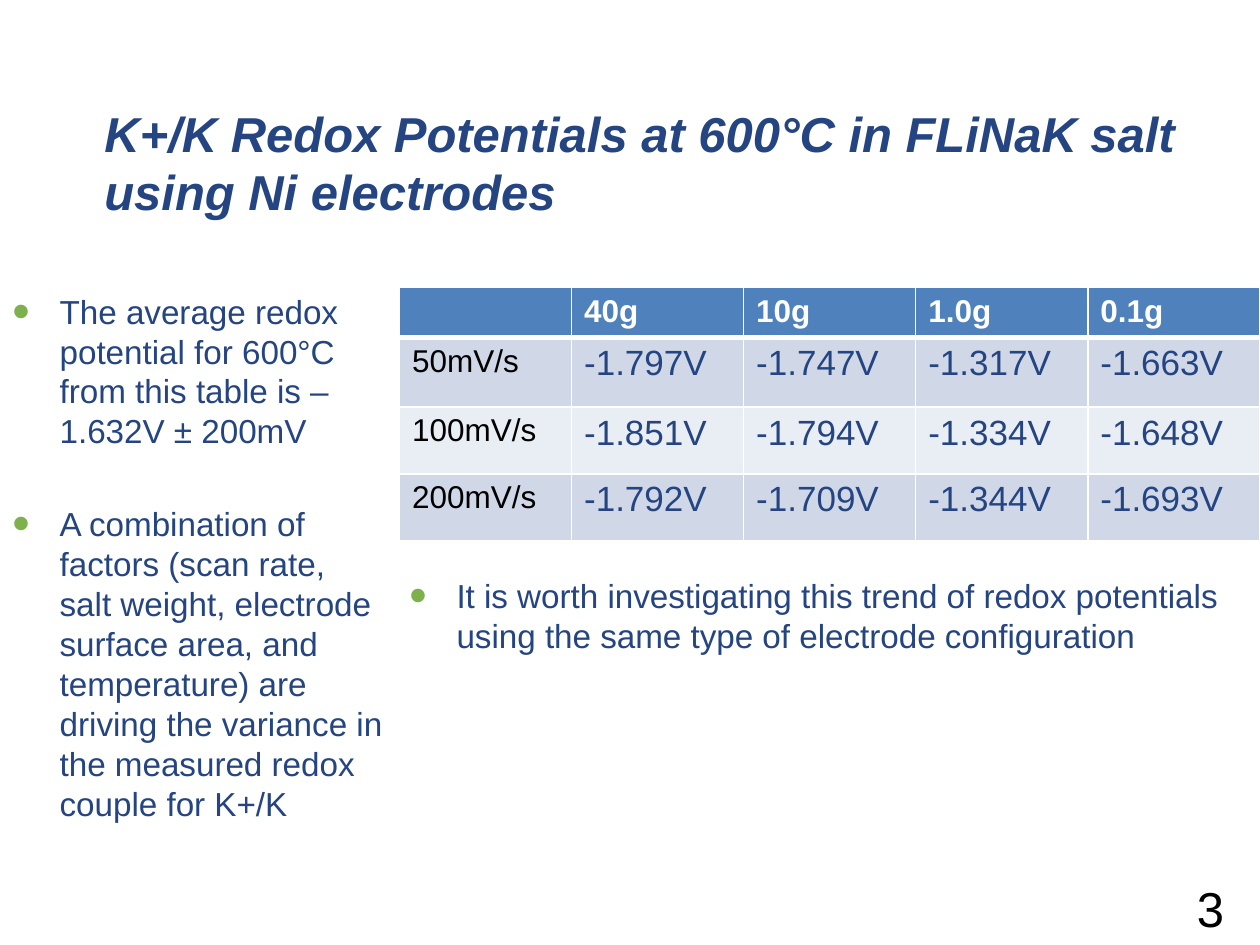
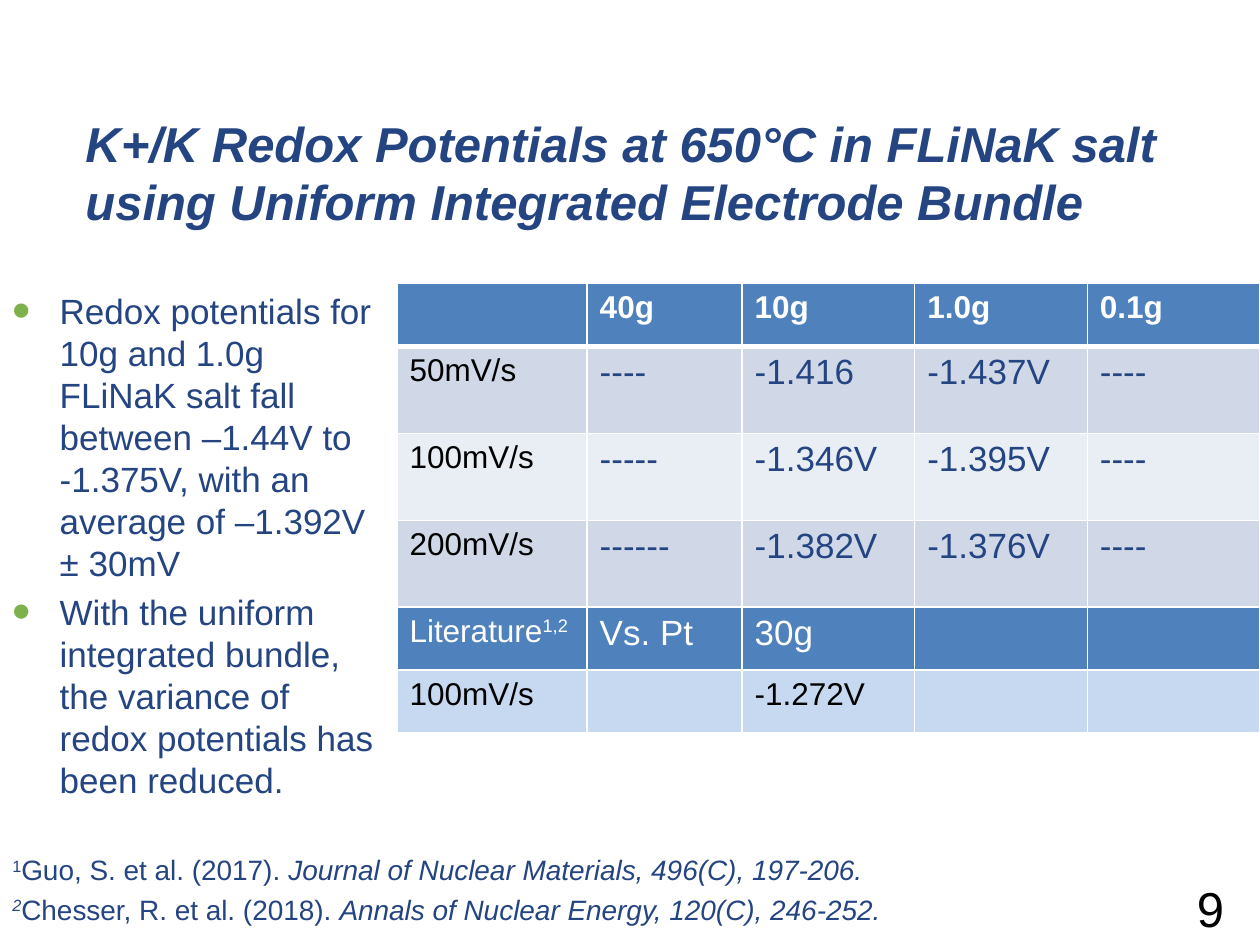
from dataclasses import dataclass

from lxml import etree
from pptx import Presentation
from pptx.dml.color import RGBColor
from pptx.enum import text as txt
from pptx.oxml import ns
from pptx.util import Emu, Inches, Pt

FONT = "Arial"
HUES = {"navy": "244482", "leaf": "7DB14B", "blue": "4F81BD", "mist": "D0D8E8",
        "pale": "E9EDF4", "sky": "C6D9F1", "white": "FFFFFF", "black": "000000"}

# Grid: 100 columns by 75 rows
WIDE, HIGH = Inches(10), Inches(7.5)
COL, ROW = WIDE / 100, HIGH / 75
LEAD = 1.2     # line pitch, in font sizes
HANG = Inches(0.375)


@dataclass
class Box:
    col: float
    row: float
    wide: float
    high: float

    def place(self) -> tuple:
        return (Emu(round(self.col * COL)), Emu(round(self.row * ROW)),
                Emu(round(self.wide * COL)), Emu(round(self.high * ROW)))


@dataclass
class Bit:
    words: str
    ital: bool = False
    sup: bool = False


@dataclass
class Look:
    size: float
    hue: str = "navy"
    bold: bool = False
    ital: bool = False
    dot: bool = False
    gap: float = 0


@dataclass
class Band:
    fill: str
    lead: Look
    rest: Look
    edge: float = 1


# Text styles and table bands
TITLE = Look(28, bold=True, ital=True)
PAGE = Look(28, "black")
NOTE = Look(16, gap=3.2)
HEAD, LABEL, VALUE = Look(18, "white", bold=True), Look(18, "black"), Look(20)
BANDS = {
    "head": Band("blue", HEAD, HEAD, 3),
    "odd": Band("mist", LABEL, VALUE),
    "even": Band("pale", LABEL, VALUE),
    "lit": Band("blue", Look(18, "white"), Look(20, "white")),
    "ref": Band("sky", LABEL, LABEL),
}
MASSES = ["", "40g", "10g", "1.0g", "0.1g"]


def rgb(hue: str) -> RGBColor:
    return RGBColor.from_string(HUES[hue])


def write(para, bits, look: Look) -> None:
    for bit in [Bit(bits)] if isinstance(bits, str) else bits:
        run = para.add_run()
        run.text = bit.words
        font = run.font
        font.name, font.size, font.bold = FONT, Pt(look.size), look.bold
        font.italic = look.ital or bit.ital
        font.color.rgb = rgb(look.hue)
        if bit.sup:
            run._r.get_or_add_rPr().set("baseline", "30000")


def dot(para) -> None:
    props = para._p.get_or_add_pPr()
    props.set("marL", str(HANG))
    props.set("indent", str(-HANG))
    tint = etree.SubElement(props, ns.qn("a:buClr"))
    etree.SubElement(tint, ns.qn("a:srgbClr"), val=HUES["leaf"])
    etree.SubElement(props, ns.qn("a:buSzPct"), val="150000")
    etree.SubElement(props, ns.qn("a:buFont"), typeface=FONT)
    etree.SubElement(props, ns.qn("a:buChar"), char="•")


def put(slide, box: Box, paras: list, look: Look) -> None:
    frame = slide.shapes.add_textbox(*box.place()).text_frame
    frame.word_wrap = True
    frame.vertical_anchor = txt.MSO_ANCHOR.TOP
    for num, bits in enumerate(paras):
        para = frame.add_paragraph() if num else frame.paragraphs[0]
        if look.dot:
            dot(para)
        para.line_spacing = Pt(look.size * LEAD)
        if num:
            para.space_before = Pt(look.gap)
        write(para, bits, look)


def edge(cell, base: float) -> None:
    props = cell._tc.get_or_add_tcPr()
    for num, side in enumerate(("lnL", "lnR", "lnT", "lnB")):
        width = base if side == "lnB" else 1
        line = etree.Element(ns.qn(f"a:{side}"), w=str(Pt(width)))
        fill = etree.SubElement(line, ns.qn("a:solidFill"))
        etree.SubElement(fill, ns.qn("a:srgbClr"), val=HUES["white"])
        props.insert(num, line)


def grid(slide, col: float, row: float, wides: list, rows: list) -> None:
    """Each row is (band name, height, cell texts)."""
    box = Box(col, row, sum(wides), sum(high for _, high, _ in rows))
    table = slide.shapes.add_table(len(rows), len(wides), *box.place()).table
    table.first_row = table.horz_banding = False
    for item, wide in zip(table.columns, wides):
        item.width = Emu(round(wide * COL))
    for line, (name, high, cells) in zip(table.rows, rows):
        band = BANDS[name]
        line.height = Emu(round(high * ROW))
        for num, (cell, bits) in enumerate(zip(line.cells, cells)):
            cell.fill.solid()
            cell.fill.fore_color.rgb = rgb(band.fill)
            edge(cell, band.edge)
            if bits:
                write(cell.text_frame.paragraphs[0], bits,
                      band.rest if num else band.lead)


def start(deck, title: str, box: Box, page: str):
    slide = deck.slides.add_slide(deck.slide_layouts[6])
    put(slide, box, [title], TITLE)
    put(slide, Box(94, 69.2, 6, 4), [page], PAGE)
    return slide


def nickel(deck) -> None:
    slide = start(deck, "K+/K Redox Potentials at 600°C in FLiNaK salt using Ni electrodes",
                  Box(7.3, 7.7, 92.5, 14.9), "3")
    grid(slide, 31.7, 22.8, [13.66] * 5, [
        ("head", 3.8, MASSES),
        ("odd", 5.5, ["50mV/s", "-1.797V", "-1.747V", "-1.317V", "-1.663V"]),
        ("even", 5.3, ["100mV/s", "-1.851V", "-1.794V", "-1.334V", "-1.648V"]),
        ("odd", 5.3, ["200mV/s", "-1.792V", "-1.709V", "-1.344V", "-1.693V"]),
    ])
    look = Look(19, dot=True, gap=30.4)
    put(slide, Box(0, 22.6, 31.5, 37.6), [
        "The average redox potential for 600°C from this table is –1.632V ± 200mV",
        "A combination of factors (scan rate, salt weight, electrode surface area, "
        "and temperature) are driving the variance in the measured redox couple for K+/K",
    ], look)
    put(slide, Box(31.5, 45.2, 68.3, 12.9), [
        "It is worth investigating this trend of redox potentials "
        "using the same type of electrode configuration",
    ], look)


def bundle(deck) -> None:
    slide = start(deck, "K+/K Redox Potentials at 650°C in FLiNaK salt "
                  "using Uniform Integrated Electrode Bundle",
                  Box(5.8, 8.5, 94.1, 10.4), "9")
    put(slide, Box(0, 22.5, 31.5, 40.4), [
        "Redox potentials for 10g and 1.0g FLiNaK salt fall between "
        "–1.44V to -1.375V, with an average of –1.392V ± 30mV",
        "With the uniform integrated bundle, the variance of redox potentials "
        "has been reduced.",
    ], Look(20, dot=True, gap=4))
    grid(slide, 31.5, 22.5, [15.1, 12.3, 13.7, 13.7, 13.7], [
        ("head", 5, MASSES),
        ("odd", 6.9, ["50mV/s", "----", "-1.416", "-1.437V", "----"]),
        ("even", 6.9, ["100mV/s", "-----", "-1.346V", "-1.395V", "----"]),
        ("odd", 6.9, ["200mV/s", "------", "-1.382V", "-1.376V", "----"]),
        ("lit", 5, [[Bit("Literature"), Bit("1,2", sup=True)], "Vs. Pt", "30g", "", ""]),
        ("ref", 5, ["100mV/s", "", "-1.272V", "", ""]),
    ])
    put(slide, Box(0, 67.2, 93, 7.6), [
        [Bit("1", sup=True), Bit("Guo, S. et al. (2017). "),
         Bit("Journal of Nuclear Materials, 496(C), 197-206.", ital=True)],
        [Bit("2", ital=True, sup=True), Bit("Chesser, R. et al. (2018). "),
         Bit("Annals of Nuclear Energy, 120(C), 246-252.", ital=True)],
    ], NOTE)


def main() -> None:
    deck = Presentation()
    deck.slide_width, deck.slide_height = WIDE, HIGH
    nickel(deck)
    bundle(deck)
    deck.save("out.pptx")


if __name__ == "__main__":
    main()
